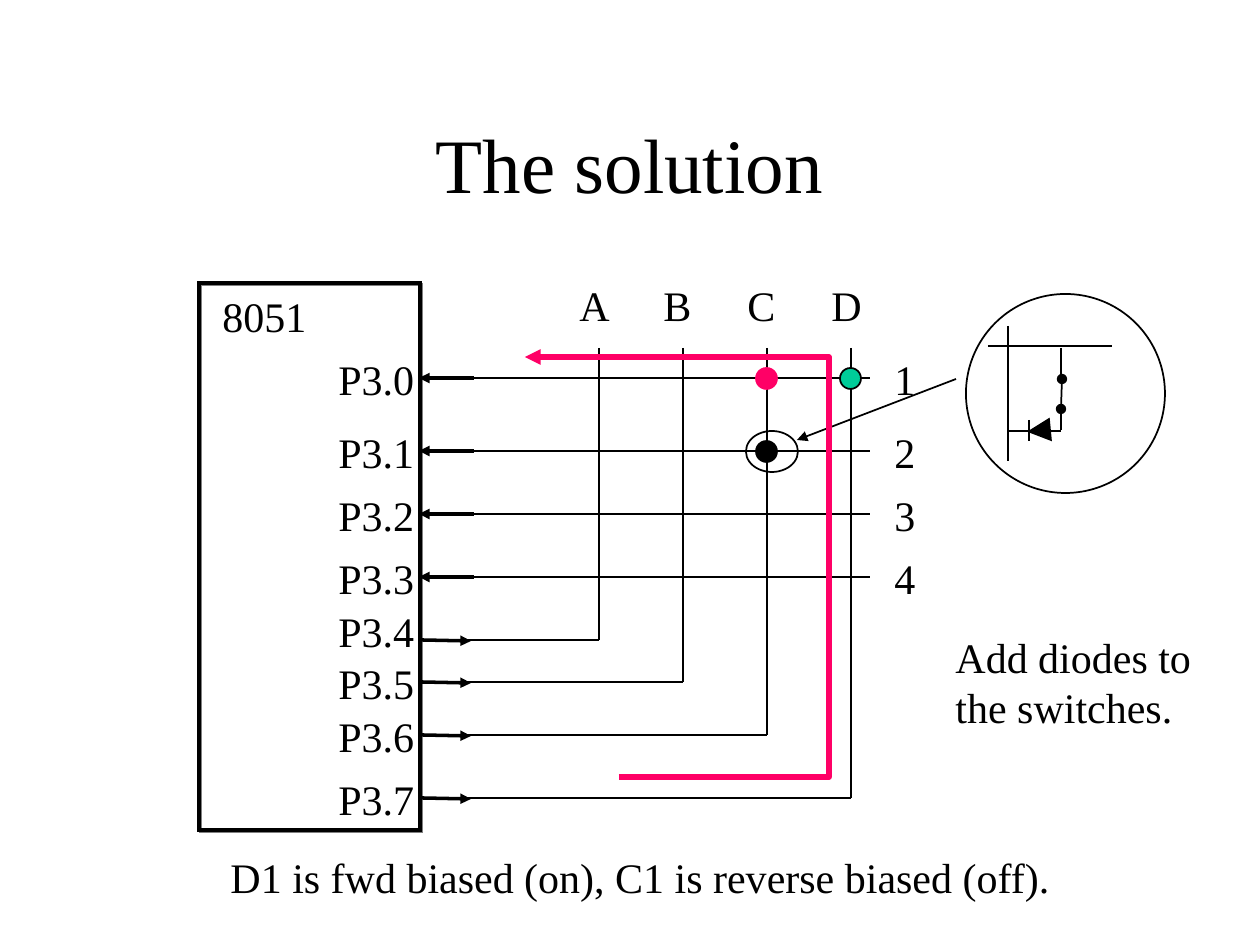
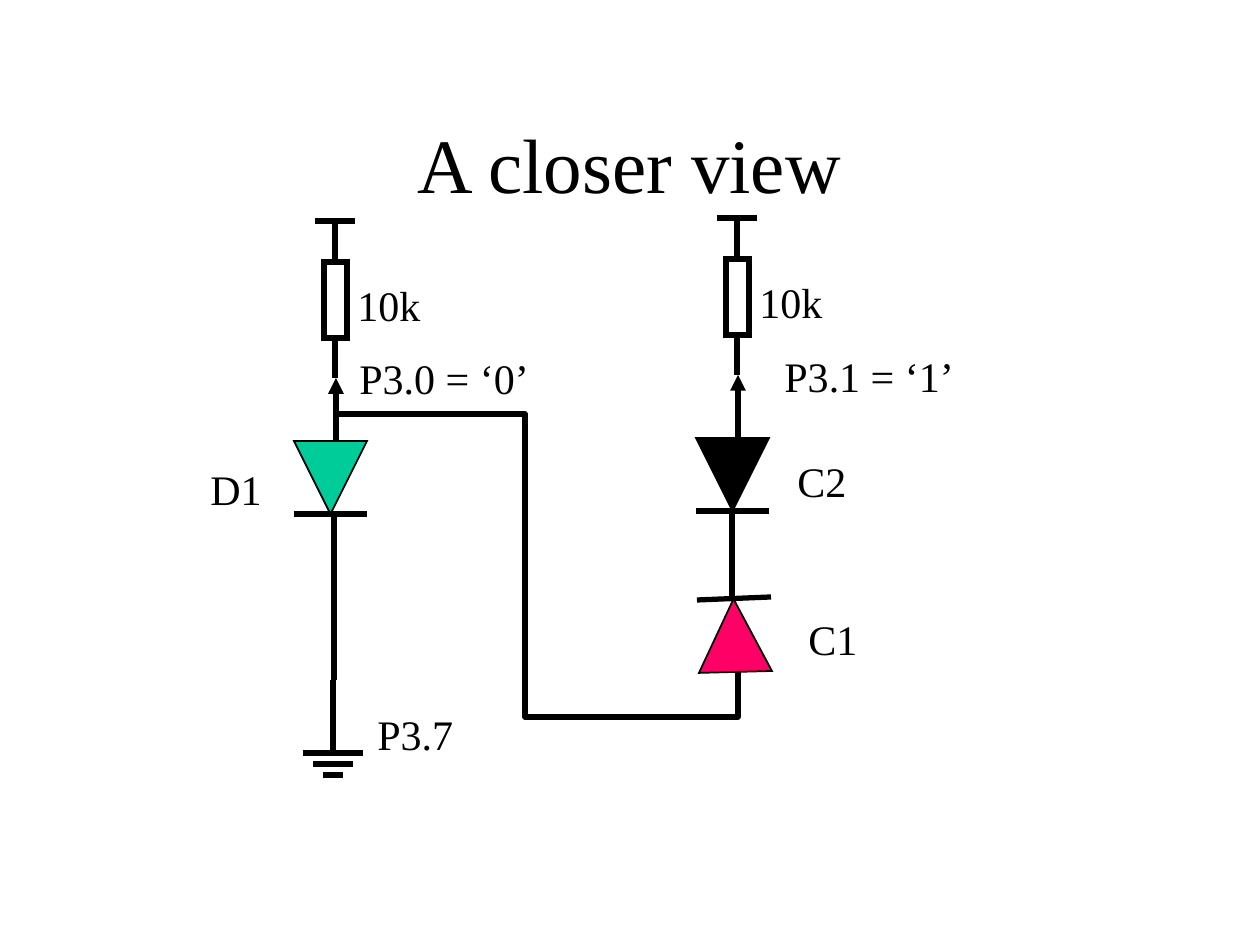
"""Build two slides on protecting a keypad matrix with diodes."""
import dataclasses

import lxml.etree
import pptx
import pptx.dml.color
import pptx.enum.shapes
import pptx.enum.text
import pptx.oxml.ns
import pptx.util

PX = pptx.util.Inches(10) / 1260
SHAPE = pptx.enum.shapes.MSO_SHAPE
qn = pptx.oxml.ns.qn


@dataclasses.dataclass(frozen=True)
class Theme:
    font: str = "Times New Roman"
    title_size: int = 44
    label_size: int = 24
    thin: int = 1
    medium: int = 2
    thick: int = 3
    ink: str = "000000"
    on: str = "00CC99"
    off: str = "FF0066"
    shadow: str = "808080"


theme = Theme()
color = pptx.dml.color.RGBColor.from_string


def part(slide, kind, box, fill=None, outline=theme.ink, weight=theme.thin, turn=0):
    shape = slide.shapes.add_shape(kind, *[round(v * PX) for v in box])
    shape.shadow.inherit = False
    shape.rotation = turn
    if fill:
        shape.fill.solid()
        shape.fill.fore_color.rgb = color(fill)
    else:
        shape.fill.background()
    shape.line.color.rgb = color(outline)
    shape.line.width = pptx.util.Pt(weight)
    lxml.etree.SubElement(shape.element.spPr.find(qn("a:ln")), qn("a:miter"), lim="800000")
    return shape


def wire(slide, points, weight=theme.thin, ink=theme.ink, head=None, tail=None):
    if len(points) == 2:
        ends = [round(v * PX) for point in points for v in point]
        run = slide.shapes.add_connector(pptx.enum.shapes.MSO_CONNECTOR.STRAIGHT, *ends)
    else:
        builder = slide.shapes.build_freeform(*points[0], scale=PX)
        builder.add_line_segments(points[1:], close=False)
        run = builder.convert_to_shape()
        run.fill.background()
    run.line.color.rgb = color(ink)
    run.line.width = pptx.util.Pt(weight)
    properties = run.element.spPr
    for tag, style in (("a:headEnd", head), ("a:tailEnd", tail)):
        if style:
            lxml.etree.SubElement(properties.find(qn("a:ln")), qn(tag), type=style)
    lxml.etree.SubElement(properties, qn("a:effectLst"))


deck = pptx.Presentation()
deck.slide_width = round(1260 * PX)
deck.slide_height = round(945 * PX)
solution, closer = [deck.slides.add_slide(deck.slide_layouts[5]) for _ in range(2)]

for slide, heading in ((solution, "The solution"), (closer, "A closer view")):
    title = slide.shapes.title
    title.left, title.top, title.width, title.height = [
        round(v * PX) for v in (94, 84, 1071, 158)]
    title.text_frame.text = heading
    title.text_frame.auto_size = pptx.enum.text.MSO_AUTO_SIZE.NONE
    title.text_frame.vertical_anchor = pptx.enum.text.MSO_ANCHOR.MIDDLE
    title.text_frame.paragraphs[0].alignment = pptx.enum.text.PP_ALIGN.CENTER
    font = title.text_frame.paragraphs[0].runs[0].font
    font.name, font.size = theme.font, pptx.util.Pt(theme.title_size)
    font.color.rgb = color(theme.ink)

labels = [
    (solution, "8051", 210, 284, 116),
    (solution, "Add diodes to\nthe switches.", 943, 625, 268),
    (solution, "D1 is fwd biased (on), C1 is reverse biased (off).", 218, 845, 860),
    (closer, "D1", 198, 457, 82),
    (closer, "P3.0 = ‘0’", 347, 346, 206),
    (closer, "P3.7", 365, 702, 108),
    (closer, "P3.1 = ‘1’", 772, 344, 206),
    (closer, "C1", 796, 607, 80),
    (closer, "C2", 785, 449, 80),
]

controller = part(solution, SHAPE.RECTANGLE, (199, 283, 221, 547), weight=theme.medium)
shadow = lxml.etree.SubElement(
    controller.element.spPr.find(qn("a:effectLst")), qn("a:outerShdw"), blurRad="0",
    dist=str(pptx.util.Pt(1.4)), dir="2700000", algn="ctr", rotWithShape="0")
lxml.etree.SubElement(shadow, qn("a:srgbClr"), val=theme.shadow)

row_heights = (378, 451, 514, 577)
drive_heights = (640, 682, 735, 798)
columns = [599 + 84 * i for i in range(4)]

for i, y in enumerate(row_heights):
    wire(solution, [(421, y), (870, y)])
    wire(solution, [(474, y), (419, y)], theme.medium, tail="triangle")
    labels += [(solution, f"P3.{i}", 326, y - 31, 108),
               (solution, str(i + 1), 882, y - 31, 50)]

for i, (x, y, port_top) in enumerate(zip(columns, drive_heights, (599, 651, 704, 767))):
    wire(solution, [(x, 348), (x, y)])
    wire(solution, [(421, y), (x, y)])
    wire(solution, [(422, y), (471, y + 1)], theme.medium, tail="triangle")
    labels += [(solution, f"P3.{i + 4}", 326, port_top, 108),
               (solution, "ABCD"[i], x - 32, 273, 60)]

part(solution, SHAPE.OVAL, (746, 431, 52, 41))
wire(solution, [(956, 379), (797, 440)], tail="triangle")
for x, y, fill, outline in (
    (columns[2], row_heights[1], theme.ink, theme.ink),
    (columns[3], row_heights[0], theme.on, theme.ink),
    (columns[2], row_heights[0], theme.off, theme.off),
):
    part(solution, SHAPE.OVAL, (x - 11, y - 10, 21, 21), fill, outline)

part(solution, SHAPE.OVAL, (966, 294, 199, 199))
for inset_wire in (
    [(1008, 326), (1008, 461)],
    [(988, 346), (1112, 346)],
    [(1061, 348), (1061, 377)],
    [(1061, 411), (1061, 430)],
    [(1061, 431), (1007, 431)],
    [(1029, 420), (1029, 441)],
):
    wire(solution, inset_wire)
wire(solution, [(1062, 379), (1061, 409)], head="oval", tail="oval")
part(solution, SHAPE.ISOSCELES_TRIANGLE, (1029, 420, 21, 21), theme.ink, turn=264.6)
wire(solution, [(619, 777), (829, 777), (829, 357), (525, 357)],
     theme.thick, theme.off, tail="triangle")

for dx, dy, diode in ((0, 0, theme.on), (402, -3, theme.ink)):
    part(closer, SHAPE.ISOSCELES_TRIANGLE, (294 + dx, 441 + dy, 73, 73), diode, turn=180)
    part(closer, SHAPE.RECTANGLE, (324 + dx, 262 + dy, 23, 76), weight=theme.thick)
    for x1, y1, x2, y2, tip in (
        (294, 514, 367, 514, None),
        (335, 265, 335, 221, None),
        (315, 221, 355, 221, None),
        (335, 338, 335, 378, None),
        (336, 441, 336, 378, "triangle"),
    ):
        wire(closer, [(x1 + dx, y1 + dy), (x2 + dx, y2 + dy)], theme.thick, tail=tip)
    labels.append((closer, "10k", 345 + dx, 273 + dy, 94))

part(closer, SHAPE.ISOSCELES_TRIANGLE, (698, 599, 73, 73), theme.off, turn=358.5)
for circuit_wire in (
    [(334, 512), (334, 680)],
    [(333, 680), (333, 752)],
    [(771, 597), (697, 600)],
    [(732, 512), (732, 596)],
    [(336, 414), (525, 414), (525, 717), (738, 717), (738, 672)],
):
    wire(closer, circuit_wire, theme.thick)
for i in range(3):
    half, y = 30 - 10 * i, 753 + 11 * i
    wire(closer, [(333 - half, y), (333 + half, y)], theme.thick)

for slide, text, x, y, width in labels:
    height = 63 + 50 * text.count("\n")
    box = slide.shapes.add_textbox(*[round(v * PX) for v in (x, y, width, height)])
    box.text_frame.text = text
    box.text_frame.word_wrap = True
    box.text_frame.auto_size = pptx.enum.text.MSO_AUTO_SIZE.NONE
    for paragraph in box.text_frame.paragraphs:
        font = paragraph.runs[0].font
        font.name, font.size = theme.font, pptx.util.Pt(theme.label_size)
        font.color.rgb = color(theme.ink)

deck.save("out.pptx")
